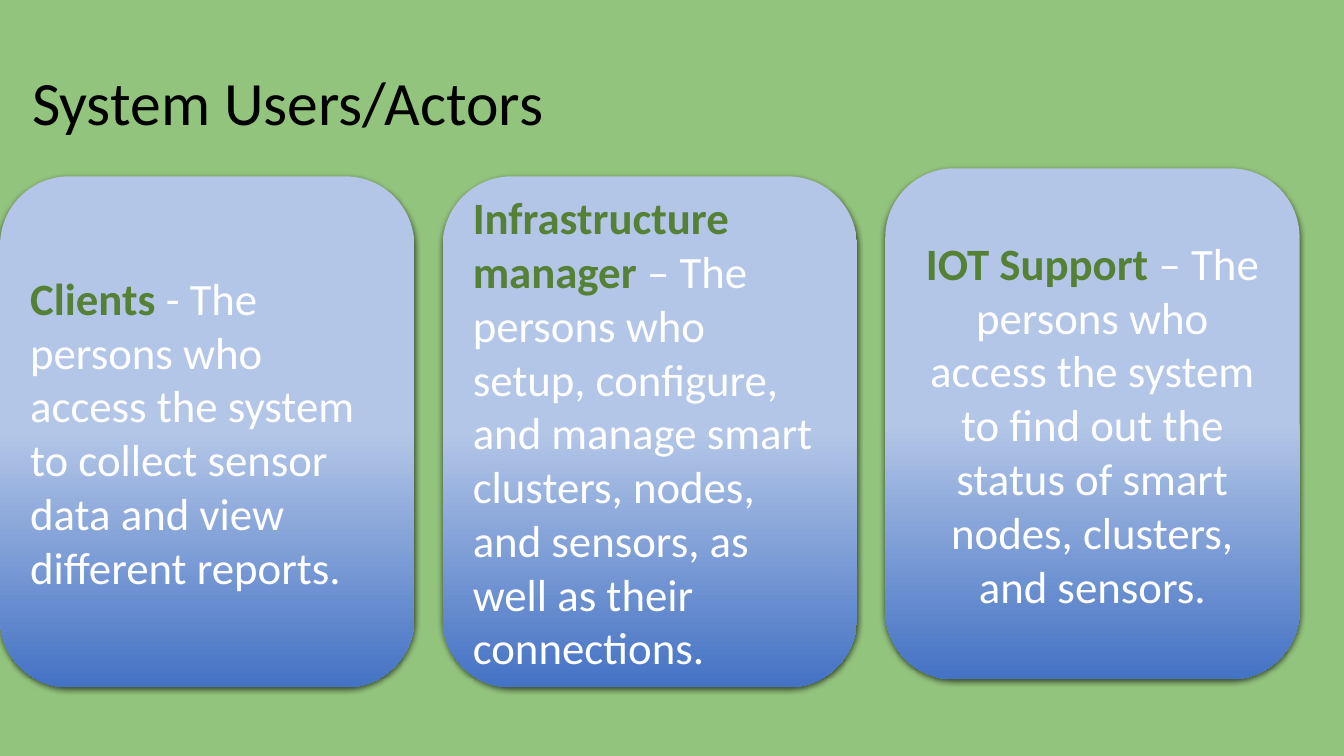
from copy import deepcopy
from dataclasses import dataclass

from lxml import etree
from pptx import Presentation
from pptx.dml.color import RGBColor
from pptx.enum.shapes import MSO_SHAPE
from pptx.enum.text import MSO_ANCHOR, PP_ALIGN
from pptx.oxml.ns import qn
from pptx.util import Inches, Pt

ROUNDED = MSO_SHAPE.ROUNDED_RECTANGLE
MIDDLE = MSO_ANCHOR.MIDDLE
LEFT, CENTER = PP_ALIGN.LEFT, PP_ALIGN.CENTER


@dataclass(frozen=True)
class Theme:
    """Colours, font and type sizes of the slide."""
    background: str = "93C47D"
    title: str = "000000"
    role: str = "548135"
    body: str = "FFFFFF"
    shadow: str = "000000"
    card_stops: tuple = ((0, "B3C6E7"), (0.5, "B3C6E7"), (1, "4472C4"))
    font: str = "Calibri"
    title_size: int = 44
    body_size: int = 32


THEME = Theme()
CARD_WIDTH, CARD_HEIGHT, CARD_STEP = 4.11, 5.07, 4.39
ACTORS = (
    (1.75, LEFT, "Clients ",
     "- The persons who access the system to collect sensor data and view "
     "different reports."),
    (1.75, LEFT, "Infrastructure manager ",
     "– The persons who setup, configure, and manage smart clusters, nodes, "
     "and sensors, as well as their connections."),
    (1.67, CENTER, "IOT Support",
     " – The persons who access the system to find out the status of smart "
     "nodes, clusters, and sensors."),
)


def add_span(para, text, size, color, bold=False):
    """Append one formatted run to a paragraph."""
    span = para.add_run()
    span.text = text
    span.font.name = THEME.font
    span.font.size = Pt(size)
    span.font.bold = bold
    span.font.color.rgb = RGBColor.from_string(color)


def prepare_text(shape):
    """Wrap and centre the text vertically, and return its first paragraph."""
    frame = shape.text_frame
    frame.word_wrap = True
    frame.vertical_anchor = MIDDLE
    return frame.paragraphs[0]


def fill_gradient(shape):
    """Fill a shape with the downward card gradient."""
    shape.fill.gradient()
    shape.fill.gradient_angle = 270
    stop_list = shape._element.spPr.find(".//" + qn("a:gsLst"))
    stop_list.append(deepcopy(stop_list[-1]))
    for stop, (position, color) in zip(shape.fill.gradient_stops, THEME.card_stops):
        stop.position = position
        stop.color.rgb = RGBColor.from_string(color)


def add_shadow(shape):
    """Give a shape a soft shadow below it."""
    shape.shadow.inherit = False
    effects = shape._element.spPr.find(qn("a:effectLst"))
    shadow = etree.SubElement(
        effects, qn("a:outerShdw"), blurRad=str(Pt(4.5)), dist=str(Pt(1.5)),
        dir="5400000", algn="ctr", rotWithShape="0")
    color = etree.SubElement(shadow, qn("a:srgbClr"), val=THEME.shadow)
    etree.SubElement(color, qn("a:alpha"), val="63000")


def add_title(page, left, top, width, height):
    """Place the slide title in the given box."""
    box = page.shapes.add_textbox(
        Inches(left), Inches(top), Inches(width), Inches(height))
    para = prepare_text(box)
    para.line_spacing = 0.9
    add_span(para, "System Users/Actors", THEME.title_size, THEME.title)


def add_actor_card(page, left, top, width, height, alignment, role, description):
    """Place one actor card in the given box."""
    card = page.shapes.add_shape(
        ROUNDED, Inches(left), Inches(top), Inches(width), Inches(height))
    fill_gradient(card)
    card.line.fill.background()
    add_shadow(card)
    para = prepare_text(card)
    para.alignment = alignment
    add_span(para, role, THEME.body_size, THEME.role, bold=True)
    add_span(para, description, THEME.body_size, THEME.body)


def main():
    """Build and save the deck."""
    deck = Presentation()
    deck.slide_width, deck.slide_height = Inches(13.33), Inches(7.5)
    page = deck.slides.add_slide(deck.slide_layouts[6])
    page.background.fill.solid()
    page.background.fill.fore_color.rgb = RGBColor.from_string(THEME.background)
    add_title(page, 0.22, 0.42, 12.44, 1.25)
    for column, (top, alignment, role, description) in enumerate(ACTORS):
        add_actor_card(page, column * CARD_STEP, top, CARD_WIDTH, CARD_HEIGHT,
                       alignment, role, description)
    deck.save("out.pptx")


if __name__ == "__main__":
    main()
